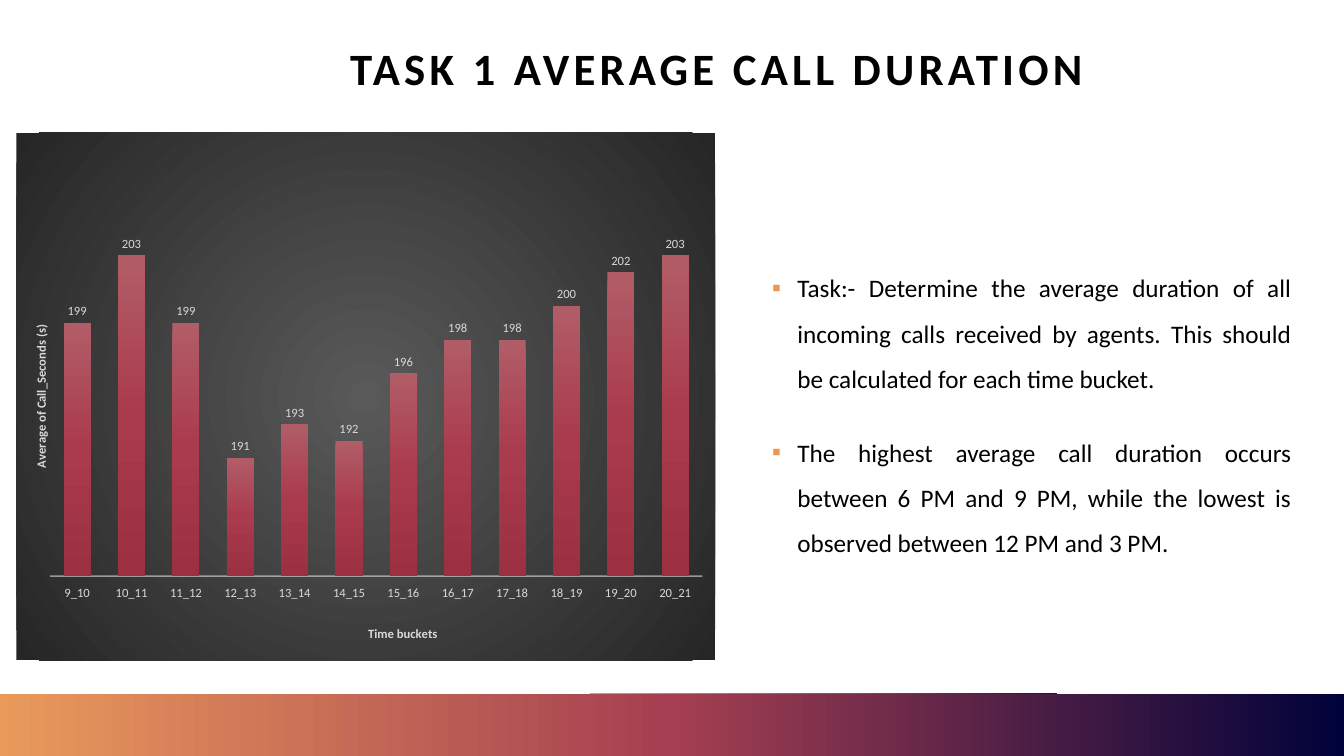
from lxml.etree import SubElement
from pptx import Presentation
from pptx.chart.data import CategoryChartData
from pptx.dml.color import RGBColor
from pptx.enum.chart import XL_CHART_TYPE as ChartType, XL_LABEL_POSITION as LabelPosition
from pptx.enum.chart import XL_TICK_LABEL_POSITION as TickLabels, XL_TICK_MARK as TickMark
from pptx.enum.shapes import MSO_SHAPE as ShapeKind
from pptx.enum.text import MSO_ANCHOR as Anchor, PP_ALIGN as Align
from pptx.oxml import parse_xml
from pptx.oxml.ns import nsdecls, qn
from pptx.util import Pt

FONT = "Calibri"
BLACK, PALE, ORANGE = "000000", "D9D9D9", "E89756"
BRAND_STOPS = [(0, "00023A"), (50, "A53F51"), (100, "E99A5B")]
BAR_STOPS = [(0, "B15D68"), (50, "AA3A4E"), (100, "9C2F42")]
PANEL_STOPS = [(0, "595959"), (100, "262626")]

DURATIONS = [199, 203, 199, 191, 193, 192, 196, 198, 198, 200, 202, 203]
FIRST_HOUR = 9
FINDINGS = [
    "Task:- Determine the average duration of all incoming calls received by agents. "
    "This should be calculated for each time bucket.",
    "The highest average call duration occurs between 6 PM and 9 PM, "
    "while the lowest is observed between 12 PM and 3 PM.",
]


def rgb(hex_colour):
    return RGBColor.from_string(hex_colour)


def apply(target, formats):
    for name, value in formats.items():
        setattr(target, name, value)


def style_font(font, size, colour, bold=False):
    apply(font, {"name": FONT, "size": Pt(size), "bold": bold})
    font.color.rgb = rgb(colour)


def gradient(stops, angle=None, centre=None):
    marks = "".join(
        f'<a:gs pos="{place * 1000}"><a:srgbClr val="{colour}"/></a:gs>'
        for place, colour in stops)
    if centre:
        sides = " ".join(f'{side}="{share * 1000}"' for side, share in zip("ltrb", centre))
        course = f'<a:path path="circle"><a:fillToRect {sides}/></a:path>'
    else:
        course = f'<a:lin ang="{angle * 60000}" scaled="0"/>'
    return parse_xml(f'<a:gradFill {nsdecls("a")} rotWithShape="1">'
                     f'<a:gsLst>{marks}</a:gsLst>{course}</a:gradFill>')


def fill_gradient(fill, element, paint):
    fill.gradient()
    plain = next(element.iter(qn("a:gradFill")))
    plain.getparent().replace(plain, paint)


def manual_layout(x, y, size=None):
    target = '<c:layoutTarget val="inner"/>' if size else ""
    extent = f'<c:w val="{size[0]}"/><c:h val="{size[1]}"/>' if size else ""
    return parse_xml(f'<c:layout {nsdecls("c")}><c:manualLayout>{target}'
                     f'<c:xMode val="edge"/><c:yMode val="edge"/>'
                     f'<c:x val="{x}"/><c:y val="{y}"/>{extent}'
                     f'</c:manualLayout></c:layout>')


def drop_layout(element):
    for layout in element.findall(qn("c:layout")):
        element.remove(layout)


def add_band(slide, left, top, width, height, paint):
    band = slide.shapes.add_shape(
        ShapeKind.RECTANGLE, Pt(left), Pt(top), Pt(width), Pt(height))
    band.shadow.inherit = False
    band.line.fill.background()
    fill_gradient(band.fill, band._element.spPr, paint)


def add_footer(slide, left, top, width, height):
    add_band(slide, left + 417, top - 0.5, 337.5, height,
             gradient(BRAND_STOPS, centre=(100, 100, 0, 0)))
    add_band(slide, left, top, width, height, gradient(BRAND_STOPS, angle=180))


def add_heading(slide, left, top, width, height):
    heading = slide.shapes.add_textbox(Pt(left), Pt(top), Pt(width), Pt(height)).text_frame
    apply(heading, {"word_wrap": True, "vertical_anchor": Anchor.MIDDLE, "margin_bottom": 0})
    line = heading.paragraphs[0]
    apply(line, {"alignment": Align.CENTER, "line_spacing": 0.9})
    words = line.add_run()
    words.text = "TASK 1 AVERAGE CALL DURATION"
    style_font(words.font, 32, BLACK, bold=True)
    words.font._element.set("spc", "300")


def add_findings(slide, left, top, width, height):
    body = slide.shapes.add_textbox(Pt(left), Pt(top), Pt(width), Pt(height)).text_frame
    apply(body, {"word_wrap": True, "vertical_anchor": Anchor.MIDDLE})
    for index, finding in enumerate(FINDINGS):
        item = body.add_paragraph() if index else body.paragraphs[0]
        properties = item._p.get_or_add_pPr()
        apply_indent = {"marL": Pt(18), "indent": -Pt(18)}
        for name, value in apply_indent.items():
            properties.set(name, str(value))
        bullet_colour = SubElement(properties, qn("a:buClr"))
        SubElement(bullet_colour, qn("a:srgbClr"), val=ORANGE)
        SubElement(properties, qn("a:buFont"), typeface=FONT)
        SubElement(properties, qn("a:buChar"), char="▪")
        apply(item, {"alignment": Align.JUSTIFY, "line_spacing": 1.5,
                     "space_before": Pt(10 if index else 0), "space_after": Pt(10)})
        words = item.add_run()
        words.text = finding
        style_font(words.font, 18, BLACK)


def title_axis(axis, text, x, y, upright=False):
    title = axis.axis_title
    title.text_frame.text = text
    style_font(title.text_frame.paragraphs[0].runs[0].font, 9, PALE, bold=True)
    if upright:
        body = next(title._element.iter(qn("a:bodyPr")))
        for name, value in {"rot": "-5400000", "vert": "horz"}.items():
            body.set(name, value)
    drop_layout(title._element)
    title._element.find(qn("c:tx")).addnext(manual_layout(x, y))


def add_duration_chart(slide, left, top, width, height):
    data = CategoryChartData(number_format="0")
    data.categories = [f"{hour}_{hour + 1}"
                       for hour in range(FIRST_HOUR, FIRST_HOUR + len(DURATIONS))]
    data.add_series("Series 1", DURATIONS)
    chart = slide.shapes.add_chart(ChartType.COLUMN_CLUSTERED, Pt(left), Pt(top),
                                   Pt(width), Pt(height), data).chart
    apply(chart, {"has_legend": False, "has_title": False})
    style_font(chart.font, 10, BLACK)

    space = chart._chartSpace
    panel = parse_xml(f'<c:spPr {nsdecls("c", "a")}><a:ln><a:noFill/></a:ln></c:spPr>')
    panel.insert(0, gradient(PANEL_STOPS, centre=(50, 50, 50, 50)))
    space.find(qn("c:chart")).addnext(panel)
    plot_area = next(space.iter(qn("c:plotArea")))
    drop_layout(plot_area)
    plot_area.insert(0, manual_layout(0.048, 0.2, (0.934, 0.641)))

    plot = chart.plots[0]
    apply(plot, {"gap_width": 100, "overlap": -24, "vary_by_categories": False,
                 "has_data_labels": True})
    apply(plot.data_labels, {"show_value": True, "position": LabelPosition.OUTSIDE_END,
                             "number_format": "0", "number_format_is_linked": False})
    style_font(plot.data_labels.font, 9, PALE)
    bars = plot.series[0]
    bars.invert_if_negative = False
    fill_gradient(bars.format.fill, bars._element, gradient(BAR_STOPS, angle=90))

    buckets, seconds = chart.category_axis, chart.value_axis
    apply(buckets, {"major_tick_mark": TickMark.NONE, "minor_tick_mark": TickMark.NONE,
                    "tick_label_position": TickLabels.LOW, "has_major_gridlines": False})
    style_font(buckets.tick_labels.font, 9, PALE)
    buckets.format.line.width = Pt(1)
    buckets.format.line.color.rgb = rgb("F2F2F2")
    line_colour = next(buckets.format.line._ln.iter(qn("a:srgbClr")))
    SubElement(line_colour, qn("a:alpha"), val="54000")
    apply(seconds, {"minimum_scale": 184, "maximum_scale": 204,
                    "has_major_gridlines": False, "visible": False})
    title_axis(buckets, "Time buckets", 0.5, 0.93)
    title_axis(seconds, "Average of Call_Seconds (s)", 0.02, 0.36, upright=True)


def main():
    deck = Presentation()
    apply(deck, {"slide_width": Pt(960), "slide_height": Pt(540)})
    slide = deck.slides.add_slide(deck.slide_layouts[6])
    add_footer(slide, 0, 496, 960, 44)
    add_heading(slide, 120, 12, 784, 74)
    add_findings(slide, 544.5, 131, 385, 320.5)
    add_duration_chart(slide, 11.75, 95, 499, 376.5)
    deck.save("out.pptx")


if __name__ == "__main__":
    main()
